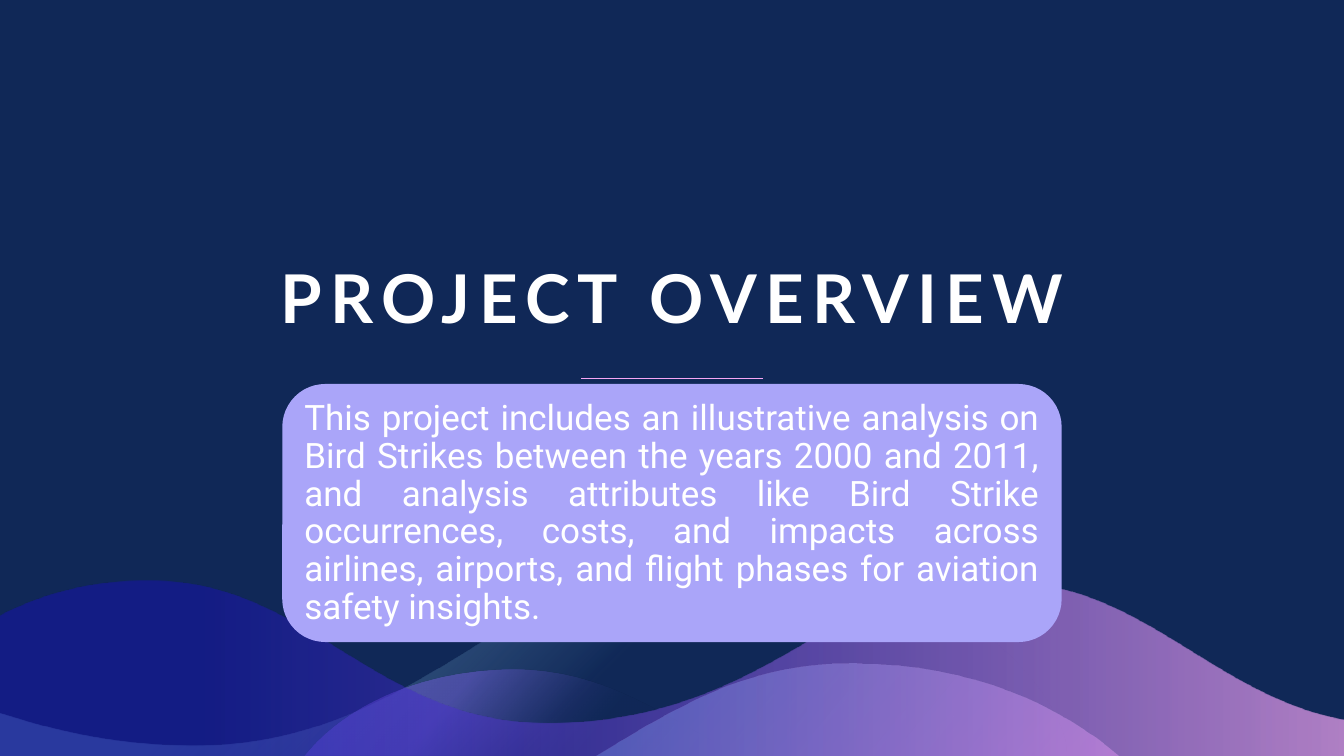
from lxml import etree
from pptx import Presentation
from pptx.dml.color import RGBColor
from pptx.enum.shapes import MSO_CONNECTOR, MSO_SHAPE
from pptx.enum.text import MSO_ANCHOR, MSO_AUTO_SIZE, PP_ALIGN
from pptx.oxml.ns import qn
from pptx.util import Inches, Pt

STRAIGHT = MSO_CONNECTOR.STRAIGHT
ROUNDED = MSO_SHAPE.ROUNDED_RECTANGLE
BOTTOM, MIDDLE = MSO_ANCHOR.BOTTOM, MSO_ANCHOR.MIDDLE
CENTER, JUSTIFY = PP_ALIGN.CENTER, PP_ALIGN.JUSTIFY
NO_AUTOFIT = MSO_AUTO_SIZE.NONE

NAVY = RGBColor(0x10, 0x28, 0x57)
SKY = RGBColor(0x92, 0xCD, 0xF0)
VIOLET = RGBColor(0x76, 0x5F, 0xE1)
CYAN = RGBColor(0x64, 0xDF, 0xED)
PINK = RGBColor(0xF6, 0xA6, 0xF4)
BLUE = RGBColor(0x18, 0x0D, 0xC2)
LILAC = RGBColor(0xAA, 0xA5, 0xF9)
WHITE = RGBColor(0xFF, 0xFF, 0xFF)

OVERVIEW = (
    "This project includes an illustrative analysis on Bird Strikes between the years "
    "2000 and 2011, and analysis attributes like Bird Strike occurrences, costs, and "
    "impacts across airlines, airports, and flight phases for aviation safety insights."
)

# Each wave: origin, start point, segments (2 numbers: line, 6: curve), stops, angle.
WAVES = [
    ((0, 5.49), (7.23, 0),
     [(9.19, -0.01, 10.43, 1.16, 10.57, 1.9), (10.58, 2.01), (0, 2.01), (0, 1.58),
      (0.2, 1.64), (0.72, 1.8, 1.32, 1.91, 2.01, 1.9), (4.24, 1.86, 5.14, 0.01, 7.23, 0)],
     [(43, NAVY, 50), (73, SKY, 29)], None),
    ((3.02, 6.64), (2.09, 0),
     [(2.98, 0.01, 3.55, 0.46, 4.22, 0.81), (4.32, 0.86), (0, 0.86), (0.06, 0.79),
      (0.41, 0.39, 1.12, 0, 2.09, 0)],
     [(33, NAVY, 28), (66, VIOLET, 46)], 220),
    ((5.9, 6.58), (2.52, 0),
     [(3.7, -0.01, 4.61, 0.41, 5.19, 0.91), (5.2, 0.92), (0, 0.92), (0.25, 0.77),
      (0.92, 0.36, 1.61, 0, 2.52, 0)],
     [(0, CYAN, 43), (100, PINK, 53)], 40),
    ((0, 5.76), (1.5, 0),
     [(3.04, 0, 3.71, 1.37, 5.36, 1.4), (6.9, 1.43, 7.81, 0.66, 8.34, 0.42), (8.38, 0.41),
      (8.48, 0.35), (8.87, 0.15, 9.36, 0.01, 9.94, 0.01),
      (11.29, 0.02, 11.97, 1.07, 13.22, 1.35), (13.33, 1.37), (13.33, 1.75), (0, 1.75),
      (0, 0.35), (0.03, 0.33), (0.43, 0.13, 0.92, -0.01, 1.5, 0)],
     [(0, PINK, 69), (85, BLUE, 42)], 180),
]


def place(sp, box):
    """Move a shape to a box given in inches."""
    sp.left, sp.top, sp.width, sp.height = map(Inches, box)


def write_text(sp, text, *, font, size, anchor, align, spacing, bold=False, track=0, inset=0.05):
    """Fill a shape with one formatted paragraph."""
    tf = sp.text_frame
    tf.word_wrap = True
    tf.auto_size = NO_AUTOFIT
    tf.vertical_anchor = anchor
    tf.margin_left = tf.margin_right = Inches(0.1)
    tf.margin_top = tf.margin_bottom = Inches(inset)
    p = tf.paragraphs[0]
    p.alignment, p.line_spacing = align, spacing
    r = p.add_run()
    r.text = text
    r.font.name, r.font.size, r.font.bold = font, Pt(size), bold
    r.font.color.rgb = WHITE
    if track:
        r.font._element.set("spc", str(track * 100))


def set_gradient(fill, parent, stops, angle):
    """Give a fill a gradient, radial from bottom right when there is no angle."""
    fill.background()
    grad = etree.Element(qn("a:gradFill"), rotWithShape="1")
    gs_list = etree.SubElement(grad, qn("a:gsLst"))
    for pos, color, alpha in stops:
        gs = etree.SubElement(gs_list, qn("a:gs"), pos=str(pos * 1000))
        clr = etree.SubElement(gs, qn("a:srgbClr"), val=str(color))
        etree.SubElement(clr, qn("a:alpha"), val=str(alpha * 1000))
    if angle is None:
        radial = etree.SubElement(grad, qn("a:path"), path="circle")
        etree.SubElement(radial, qn("a:fillToRect"), l="100000", t="100000")
    else:
        etree.SubElement(grad, qn("a:lin"), ang=str(angle * 60000), scaled="0")
    parent.replace(parent.find(qn("a:noFill")), grad)


def bend(line_to, controls):
    """Turn a line segment into a cubic curve with two control points."""
    line_to.tag = qn("a:cubicBezTo")
    for i in (0, 2):
        x, y = map(Inches, controls[i:i + 2])
        line_to.insert(i // 2, etree.Element(qn("a:pt"), x=str(x), y=str(y)))


def add_wave(s, origin, start, segments, stops, angle):
    """Draw one wave whose outline is relative to its origin."""
    left, top = origin
    ends = [start] + [segment[-2:] for segment in segments]
    outline = [(Inches(left + x), Inches(top + y)) for x, y in ends]
    builder = s.shapes.build_freeform(*outline[0])
    builder.add_line_segments(outline[1:], close=True)
    sp = builder.convert_to_shape()
    spPr = sp._element.spPr
    for line_to, segment in zip(list(spPr.iter(qn("a:lnTo"))), segments):
        if len(segment) == 6:
            bend(line_to, segment[:4])
    sp.shadow.inherit = False
    sp.line.fill.background()
    set_gradient(sp.fill, spPr, stops, angle)


def add_heading(s, box):
    """Set the title with a short rule centred below it."""
    left, top, width, height = box
    place(s.shapes.title, box)
    write_text(s.shapes.title, "PROJECT OVERVIEW", font="Lato", size=48, bold=True, track=6,
               anchor=BOTTOM, align=CENTER, spacing=Pt(86.4))
    mid, y = left + width / 2, Inches(top + height + 0.36)
    rule = s.shapes.add_connector(STRAIGHT, Inches(mid + 0.9), y, Inches(mid - 0.91), y)
    rule.line.width = Pt(0.5)
    spPr = rule._element.spPr
    set_gradient(rule.line.fill, spPr.find(qn("a:ln")), [(0, PINK, 100), (100, CYAN, 100)], 0)
    etree.SubElement(spPr, qn("a:effectLst"))


def add_overview(s, box):
    """Add the rounded panel with the project summary."""
    left, top, width, height = box
    group = s.shapes.add_group_shape()
    panel = group.shapes.add_shape(ROUNDED, *map(Inches, box))
    panel.shadow.inherit = False
    panel.fill.solid()
    panel.fill.fore_color.rgb = LILAC
    panel.line.fill.background()
    inner = (left + 0.12, top + 0.13, width - 0.25, height - 0.25)
    summary = group.shapes.add_textbox(*map(Inches, inner))
    write_text(summary, OVERVIEW, font="Roboto", size=25, anchor=MIDDLE, align=JUSTIFY,
               spacing=0.9, inset=0.1)


def main():
    """Build and save the slide."""
    prs = Presentation()
    prs.slide_width, prs.slide_height = Inches(13.33), Inches(7.5)
    s = prs.slides.add_slide(prs.slide_layouts[0])
    s.background.fill.solid()
    s.background.fill.fore_color.rgb = NAVY
    subtitle = s.placeholders[1]._element
    subtitle.getparent().remove(subtitle)
    for wave in WAVES:
        add_wave(s, *wave)
    add_heading(s, (1.67, 2.22, 10, 1.17))
    add_overview(s, (2.8, 3.81, 7.73, 2.56))
    prs.save("out.pptx")


if __name__ == "__main__":
    main()
